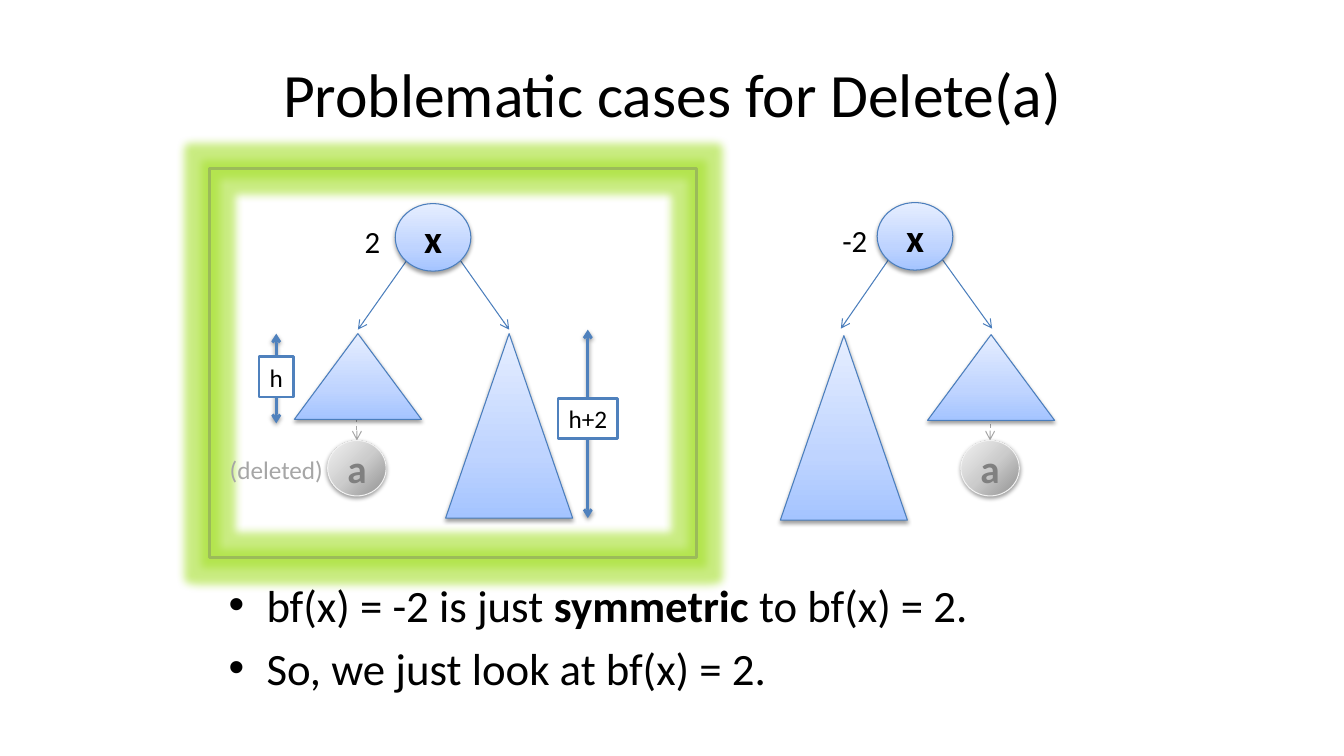
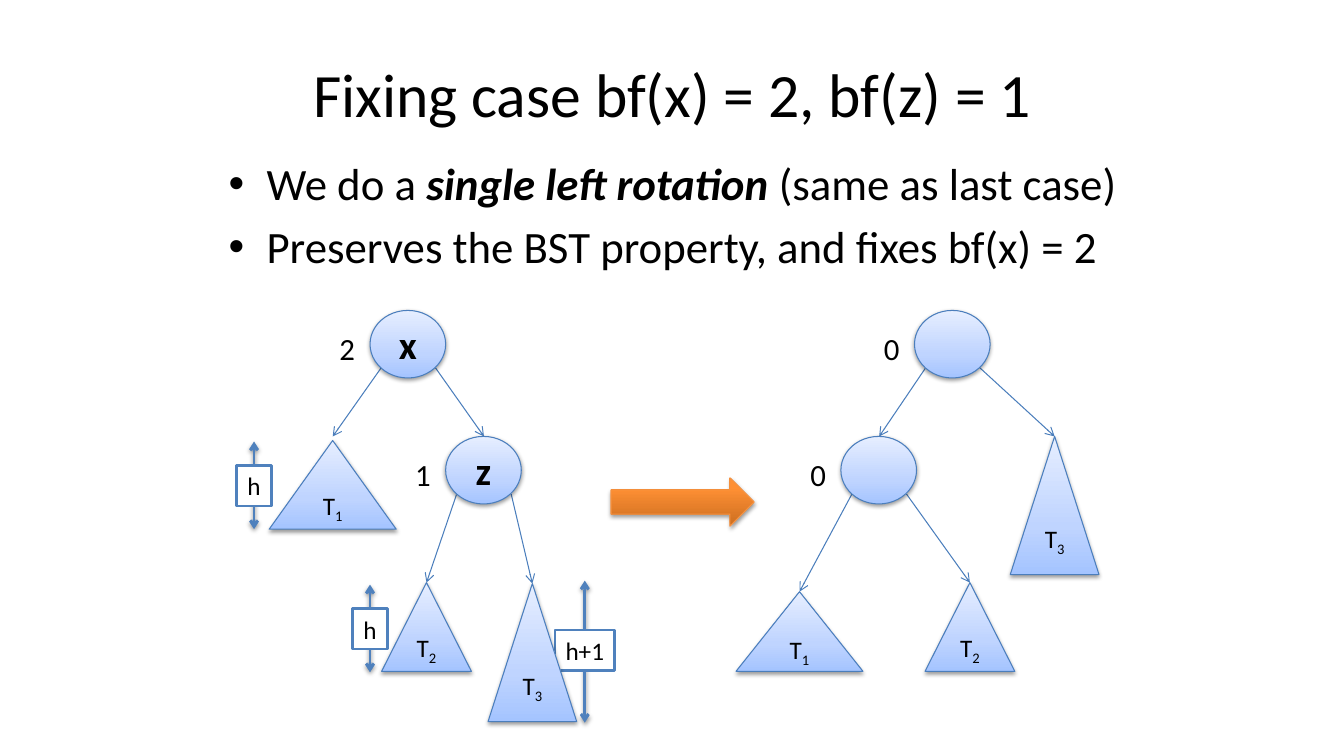
from pptx import Presentation
from pptx.dml.color import RGBColor
from pptx.enum.dml import MSO_LINE
from pptx.enum.shapes import MSO_CONNECTOR, MSO_SHAPE
from pptx.enum.text import MSO_ANCHOR, PP_ALIGN
from pptx.oxml import parse_xml
from pptx.oxml.ns import nsdecls, qn
from pptx.util import Inches, Pt

BLACK = RGBColor(0x00, 0x00, 0x00)
WHITE = RGBColor(0xFF, 0xFF, 0xFF)
BLUE = RGBColor(0x4B, 0x7E, 0xBC)
STEEL = RGBColor(0x4F, 0x81, 0xBD)
GREEN = RGBColor(0x9B, 0xBB, 0x59)
ORANGE = RGBColor(0xF6, 0x92, 0x40)
GRAY = RGBColor(0x80, 0x80, 0x80)
SILVER = RGBColor(0xA6, 0xA6, 0xA6)
PALE = RGBColor(0xF2, 0xF2, 0xF2)

SKY = (270, ((0, "A4C4FF"), (35, "BFD4FF"), (100, "E6EEFF")))
ASH = (225, ((0, "909090"), (50, "CCCCCC"), (100, "F2F2F2")))
FIRE = (270, ((0, "CC6E20"), (80, "FF9034"), (100, "FF9136")))

NS = nsdecls("a")
SHADE = (f'<a:outerShdw {NS} blurRad="39400" dist="20300" dir="5400000" rotWithShape="0">'
         '<a:srgbClr val="000000"><a:alpha val="38000"/></a:srgbClr></a:outerShdw>')
GLOW = (f'<a:glow {NS} rad="152400"><a:srgbClr val="A6E02E">'
        '<a:alpha val="60000"/></a:srgbClr></a:glow>')


def write(para, parts, size, color=BLACK):
    for text, style in parts:
        run = para.add_run()
        run.text = text
        font = run.font
        font.name = "Calibri"
        font.size = Pt(size)
        font.color.rgb = color
        font.bold = "b" in style
        font.italic = "i" in style
        if "s" in style:
            run._r.get_or_add_rPr().set("baseline", "-25000")


def form(slide, kind, box, fill, edge, width=0.75, effect=SHADE):
    shape = slide.shapes.add_shape(kind, *map(Inches, box))
    props = shape._element.spPr
    if fill is None:
        shape.fill.background()
    elif fill is WHITE:
        shape.fill.solid()
        shape.fill.fore_color.rgb = fill
    else:
        angle, stops = fill
        marks = "".join(f'<a:gs pos="{pos * 1000}"><a:srgbClr val="{tint}"/></a:gs>'
                        for pos, tint in stops)
        props.insert(2, parse_xml(
            f'<a:gradFill {NS} rotWithShape="1"><a:gsLst>{marks}</a:gsLst>'
            f'<a:lin ang="{angle * 60000}" scaled="0"/></a:gradFill>'))
    shape.line.color.rgb = edge
    shape.line.width = Pt(width)
    shape.shadow.inherit = False
    if effect:
        props.find(qn("a:effectLst")).append(parse_xml(effect))
    frame = shape.text_frame
    frame.vertical_anchor = MSO_ANCHOR.MIDDLE
    frame.paragraphs[0].alignment = PP_ALIGN.CENTER
    return shape


pages = [
    dict(
        title="Problematic cases for Delete(a)",
        top=5.68,
        points=[
            [("bf(x) = -2 is just ", ""), ("symmetric", "b"), (" to bf(x) = 2.", "")],
            [("So, we just look at bf(x) = 2.", "")],
        ],
        rulers=[("h+2", 5.83, 3.27, 5.14, 0.59, 3.95), ("h", 2.74, 3.31, 4.2, 0.34, 3.54)],
        trees=[("", 5.05, 3.31, 1.26, 1.83), ("", 3.55, 3.31, 1.26, 0.85),
               ("", 8.37, 3.33, 1.26, 1.83), ("", 9.83, 3.32, 1.26, 0.85)],
        nodes=[("x", "2", 4.3, 2.02, 0.43, ((3.55, 3.27), (5.05, 3.27))),
               ("x", "-2", 9.08, 2.01, 0.38, ((8.34, 3.26), (9.84, 3.26)))],
        ghosts=[(3.54, 4.15), (9.82, 4.21)],
    ),
    dict(
        title="Fixing case bf(x) = 2, bf(z) = 1",
        top=1.5,
        points=[
            [("We do a ", ""), ("single left rotation ", "bi"), ("(same as last case)", "")],
            [("Preserves the BST property, and fixes bf(x) = 2", "")],
        ],
        rulers=[("h+1", 5.8, 5.76, 7.17, 0.59, 6.25), ("h", 2.52, 4.38, 5.25, 0.34, 4.62),
                ("h", 3.67, 5.8, 6.67, 0.34, 6.04)],
        trees=[("T1", 3.3, 4.37, 1.26, 0.88), ("T2", 4.23, 5.78, 0.89, 0.88),
               ("T3", 5.28, 5.79, 0.88, 1.37), ("T1", 7.93, 5.87, 1.26, 0.79),
               ("T2", 9.62, 5.78, 0.89, 0.88), ("T3", 10.46, 4.33, 0.88, 1.37)],
        nodes=[("x", "2", 4.05, 3.08, 0.43, ((3.3, 4.33), (4.8, 4.33))),
               ("z", "1", 4.8, 4.33, 0.43, ((4.23, 5.78), (5.28, 5.79))),
               ("", "0", 9.45, 3.08, 0.43, ((8.72, 4.33), (10.46, 4.33))),
               ("", "0", 8.72, 4.33, 0.43, ((7.93, 5.87), (9.62, 5.78)))],
        ghosts=[],
    ),
]

deck = Presentation()
deck.slide_width = Inches(13.33)
deck.slide_height = Inches(7.5)

for page in pages:
    slide = deck.slides.add_slide(deck.slide_layouts[5])
    title = slide.shapes.title
    title.left, title.top, title.width, title.height = map(Inches, (0.67, 0.3, 12, 1.25))
    title.text_frame.vertical_anchor = MSO_ANCHOR.MIDDLE
    head = title.text_frame.paragraphs[0]
    head.alignment = PP_ALIGN.CENTER
    write(head, [(page["title"], "")], 44)

    body = slide.shapes.add_textbox(*map(Inches, (2.17, page["top"], 9.08, 1.3))).text_frame
    body.word_wrap = True
    for i, parts in enumerate(page["points"]):
        para = body.add_paragraph() if i else body.paragraphs[0]
        props = para._p.get_or_add_pPr()
        props.set("marL", "342900")
        props.set("indent", "-342900")
        props.append(parse_xml(f'<a:buFont {NS} typeface="Arial"/>'))
        props.append(parse_xml(f'<a:buChar {NS} char="•"/>'))
        para.space_before = Pt(6.4 if i else 0)
        write(para, parts, 32)

    lines = [((x, top, x, end), STEEL, 2) for _, x, top, end, _, _ in page["rulers"]]
    for _, _, x, top, _, kids in page["nodes"]:
        for to, down in kids:
            start = x - 0.27 if to < x else x + 0.27
            lines.append(((start, top + 0.57, to, down), BLUE, 0.75))
    lines += [((x, top, x, 4.37), SILVER, 0.75) for x, top in page["ghosts"]]
    for ends, color, width in lines:
        link = slide.shapes.add_connector(MSO_CONNECTOR.STRAIGHT, *map(Inches, ends))
        link.line.color.rgb = color
        link.line.width = Pt(width)
        if color is SILVER:
            link.line.dash_style = MSO_LINE.DASH
        stroke = link.line._get_or_add_ln()
        if color is STEEL:
            stroke.append(parse_xml(f'<a:headEnd {NS} type="arrow"/>'))
        stroke.append(parse_xml(f'<a:tailEnd {NS} type="arrow"/>'))
        glint = SHADE if color is STEEL else ""
        link._element.spPr.append(parse_xml(f'<a:effectLst {NS}>{glint}</a:effectLst>'))

    for name, x, _, _, wide, top in page["rulers"]:
        box = (x - wide / 2, top, wide, 0.4)
        tag = form(slide, MSO_SHAPE.RECTANGLE, box, WHITE, STEEL, 2, None)
        tag.text_frame.word_wrap = False
        write(tag.text_frame.paragraphs[0], [(name, "")], 18)

    for name, x, top, wide, high in page["trees"]:
        box = (x - wide / 2, top, wide, high)
        tree = form(slide, MSO_SHAPE.ISOSCELES_TRIANGLE, box, SKY, BLUE)
        if name:
            write(tree.text_frame.paragraphs[0], [(name[0], ""), (name[1], "s")], 18)

    for name, mark, x, top, gap, _ in page["nodes"]:
        node = form(slide, MSO_SHAPE.OVAL, (x - 0.38, top, 0.75, 0.67), SKY, BLUE)
        if name:
            write(node.text_frame.paragraphs[0], [(name, "b")], 28)
        box = (x - gap - 0.5, top + 0.14, 0.5, 0.47)
        note = slide.shapes.add_textbox(*map(Inches, box)).text_frame
        note.word_wrap = True
        note.paragraphs[0].alignment = PP_ALIGN.RIGHT
        write(note.paragraphs[0], [(mark, "")], 22)

    for x, _ in page["ghosts"]:
        ghost = form(slide, MSO_SHAPE.OVAL, (x - 0.29, 4.37, 0.58, 0.55), ASH, PALE)
        write(ghost.text_frame.paragraphs[0], [("a", "b")], 28, GRAY)

first, second = deck.slides
form(first, MSO_SHAPE.RECTANGLE, (2.08, 1.67, 4.83, 3.86), None, GREEN, 2, GLOW)
note = first.shapes.add_textbox(*map(Inches, (2.18, 4.46, 1.25, 0.4))).text_frame
note.word_wrap = True
write(note.paragraphs[0], [("(deleted)", "")], 18, SILVER)
form(second, MSO_SHAPE.RIGHT_ARROW, (6.06, 4.74, 1.42, 0.48), FIRE, ORANGE)

deck.save("out.pptx")
